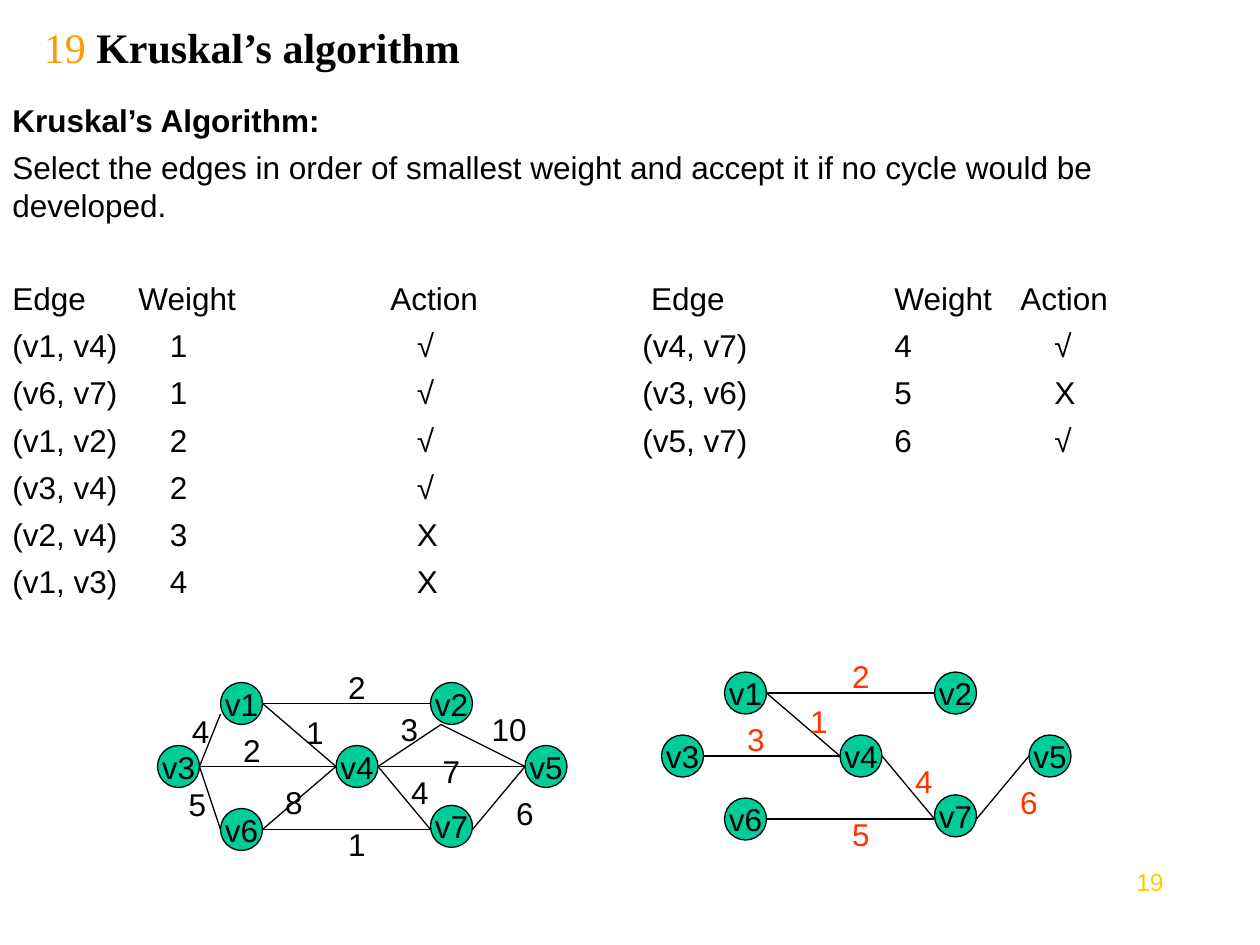
"""Builds the slide on Kruskal's algorithm with its edge list and two graphs."""
from dataclasses import dataclass

from lxml import etree
from pptx import Presentation
from pptx.dml.color import RGBColor
from pptx.enum.shapes import MSO_CONNECTOR, MSO_SHAPE
from pptx.enum.text import MSO_ANCHOR, PP_ALIGN
from pptx.oxml.ns import qn
from pptx.util import Inches, Pt

LEFT, MID, RIGHT = PP_ALIGN.LEFT, PP_ALIGN.CENTER, PP_ALIGN.RIGHT
TOP, CENTRE = MSO_ANCHOR.TOP, MSO_ANCHOR.MIDDLE
OVAL, LINE = MSO_SHAPE.OVAL, MSO_CONNECTOR.STRAIGHT


@dataclass(frozen=True)
class Theme:
    ink: str = "000000"
    node: str = "00CC99"
    red: str = "FF3300"
    gold: str = "FFCC00"
    amber: str = "FF9900"
    sans: str = "Arial"
    serif: str = "Times New Roman"
    head: int = 24
    text: int = 18
    small: int = 14
    rule: float = 0.75
    gap: float = 5.4
    skip: float = 31.5


NODES = {
    "v1": (6, 0), "v2": (26, 0), "v3": (0, 6), "v4": (17, 6),
    "v5": (35, 6), "v6": (6, 12), "v7": (26, 11.7),
}
EDGES = {
    "v1v2": ((10, 2), (26, 2), (16, -2)),
    "v3v4": ((4, 8), (17, 8), (6, 4)),
    "v4v5": ((21, 8), (35, 8), (25, 6)),
    "v6v7": ((10, 14), (26, 14), (16, 13)),
    "v1v3": ((4, 8), (6, 3), (1.1, 2.2)),
    "v3v6": ((4, 8), (6, 14), (0.8, 9.2)),
    "v2v5": ((27, 4), (35, 8), (30, 2)),
    "v5v7": ((35, 8), (30, 14), (32, 10)),
    "v1v4": ((17, 8), (10, 2), (12, 2.3)),
    "v2v4": ((21, 8), (27, 4), (21, 2)),
    "v4v6": ((10, 14), (17, 8), (10, 9)),
    "v4v7": ((21, 8), (26, 14), (22, 8)),
}
FULL = {
    "v1v2": 2, "v3v4": 2, "v4v5": 7, "v6v7": 1, "v1v3": 4, "v3v6": 5,
    "v2v5": 10, "v5v7": 6, "v1v4": 1, "v2v4": 3, "v4v6": 8, "v4v7": 4,
}
TREE = {"v1v2": 2, "v3v4": 3, "v6v7": 5, "v5v7": 6, "v1v4": 1, "v4v7": 4}
HEADS = ("Edge", "Weight", "Action") * 2
ROWS = (
    ("(v1, v4)", "1", "√", "(v4, v7)", "4", "√"),
    ("(v6, v7)", "1", "√", "(v3, v6)", "5", "X"),
    ("(v1, v2)", "2", "√", "(v5, v7)", "6", "√"),
    ("(v3, v4)", "2", "√"),
    ("(v2, v4)", "3", "X"),
    ("(v1, v3)", "4", "X"),
)
HEADTABS = (1, 3, 5.07, 7, 8)
ROWTABS = (1.25, 3.21, 5, 7, 8.27)


def unit(n):
    """Turns grid steps, twelve to the inch, into a length."""
    return Inches(n / 12)


class Deck:
    """Holds the theme and the current slide, and draws each kind of element."""

    def __init__(self, theme):
        self.theme = theme
        self.file = Presentation()
        self.file.slide_width, self.file.slide_height = unit(120), unit(90)
        self.slide = self.file.slides.add_slide(self.file.slide_layouts[6])
        self.pen = self.slide.shapes

    def run(self, para, text, size=None, color=None, font=None, bold=False):
        """Adds one styled run."""
        run = para.add_run()
        run.text = text
        run.font.size = Pt(size or self.theme.text)
        run.font.name = font or self.theme.sans
        run.font.bold = bold
        run.font.color.rgb = RGBColor.from_string(color or self.theme.ink)

    def box(self, x, y, w, h, align=LEFT, anchor=TOP):
        """Adds a wrapping text box and returns its first paragraph."""
        frame = self.pen.add_textbox(*map(unit, (x, y, w, h))).text_frame
        frame.word_wrap = True
        frame.vertical_anchor = anchor
        para = frame.paragraphs[0]
        para.alignment = align
        return para

    def line(self, frame, text, gap, tabs=()):
        """Adds a paragraph with its space above and tab stops in inches."""
        para = frame.add_paragraph()
        para.space_before = Pt(gap)
        if tabs:
            stops = etree.SubElement(para._p.get_or_add_pPr(), qn("a:tabLst"))
            for tab in tabs:
                etree.SubElement(stops, qn("a:tab"), pos=str(Inches(tab)), algn="l")
        self.run(para, text)

    def node(self, x, y, name):
        """Draws a named vertex."""
        dot = self.pen.add_shape(OVAL, *map(unit, (x, y, 4, 4)))
        dot.shadow.inherit = False
        dot.fill.solid()
        dot.fill.fore_color.rgb = RGBColor.from_string(self.theme.node)
        dot.line.color.rgb = RGBColor.from_string(self.theme.ink)
        dot.line.width = Pt(self.theme.rule)
        frame = dot.text_frame
        frame.word_wrap = False
        frame.vertical_anchor = CENTRE
        para = frame.paragraphs[0]
        para.alignment = MID
        self.run(para, name)

    def edge(self, start, end):
        """Draws a line between two grid points."""
        link = self.pen.add_connector(LINE, *map(unit, (*start, *end)))
        link.line.color.rgb = RGBColor.from_string(self.theme.ink)
        link.line.width = Pt(self.theme.rule)
        etree.SubElement(link._element.spPr, qn("a:effectLst"))

    def graph(self, left, top, costs, color):
        """Draws all vertices and the weighted edges as one group."""
        self.pen = self.slide.shapes.add_group_shape().shapes
        for name, (x, y) in NODES.items():
            self.node(left + x, top + y, name)
        for key, cost in costs.items():
            start, end, spot = [(left + x, top + y) for x, y in EDGES[key]]
            self.edge(start, end)
            wide = 7 if cost > 9 else 6
            self.run(self.box(*spot, wide, 4.8, MID), str(cost), color=color)
        self.pen = self.slide.shapes


def main():
    """Builds and saves the slide."""
    theme = Theme()
    deck = Deck(theme)
    deck.run(deck.box(104, 82, 8, 6.2, RIGHT), "19", theme.small, theme.gold)
    title = deck.box(3, 2, 102, 5, anchor=CENTRE)
    deck.run(title, "19 ", theme.head, theme.amber, theme.serif)
    deck.run(title, "Kruskal’s algorithm", theme.head, font=theme.serif, bold=True)

    lead = deck.box(0, 9, 116, 47.6)
    deck.run(lead, "Kruskal’s Algorithm:", bold=True)
    body = lead._parent
    deck.line(body, "Select the edges in order of smallest weight and accept it "
              "if no cycle would be developed.", theme.gap)
    deck.line(body, "\t".join(HEADS), theme.skip, HEADTABS)
    for row in ROWS:
        deck.line(body, "\t".join(row), theme.gap, ROWTABS)

    deck.graph(15, 65, FULL, theme.ink)
    deck.graph(63, 64, TREE, theme.red)
    deck.file.save("out.pptx")


if __name__ == "__main__":
    main()
